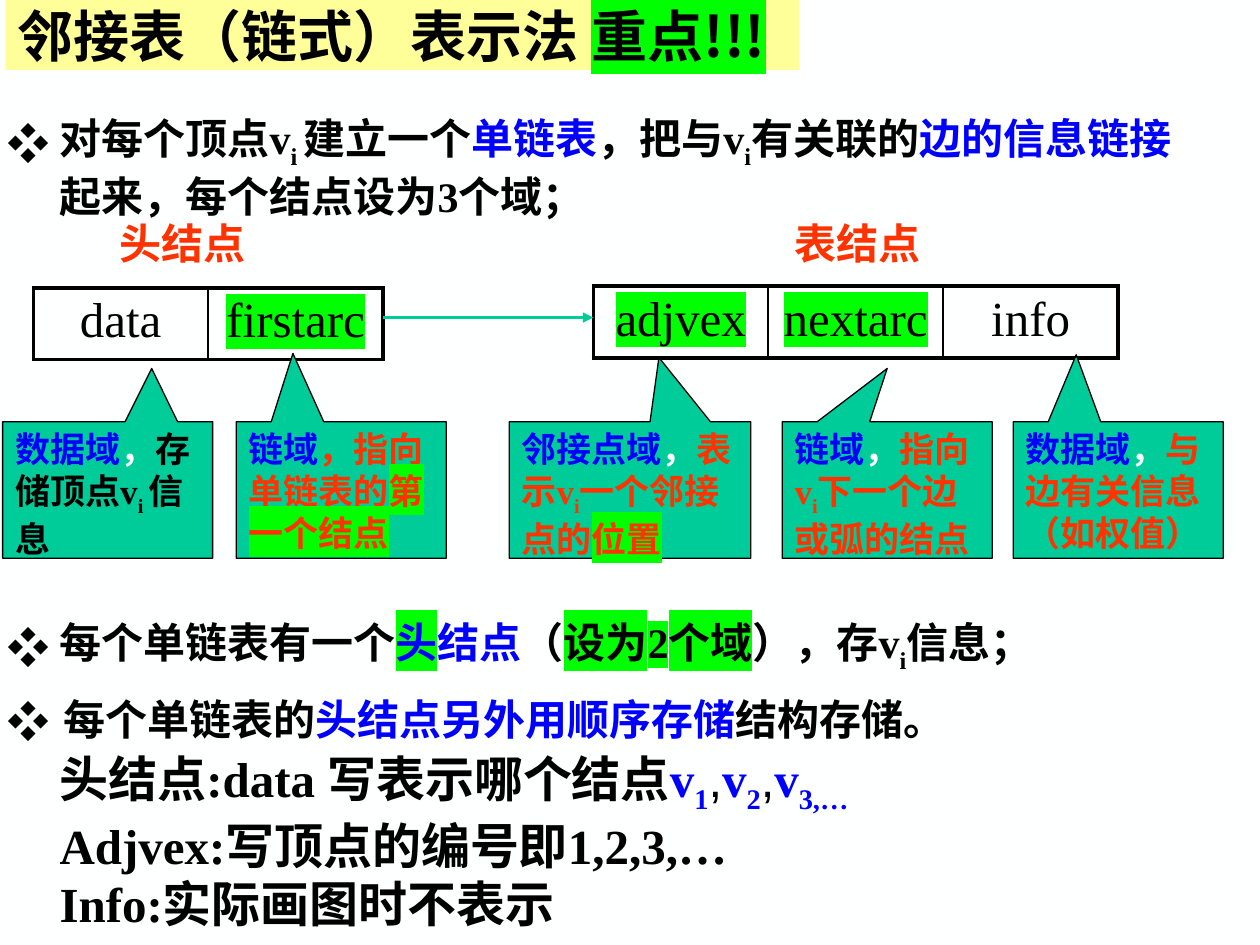
from lxml import etree
from pptx import Presentation
from pptx import util as u
from pptx.dml.color import RGBColor
from pptx.enum import shapes, text
from pptx.oxml.ns import qn

Pt = u.Pt
BLACK = RGBColor(0, 0, 0)
BLUE = RGBColor(0, 0, 0xFF)
RED = RGBColor(0xFF, 0x33, 0)
WHITE = RGBColor(0xFE, 0xFF, 0xFF)
GREEN = RGBColor(0, 0xFF, 0)
TEAL = RGBColor(0, 0xCC, 0x99)
YELLOW = RGBColor(0xFF, 0xFF, 0x99)
SERIF, SANS, CJK = "Times New Roman", "Arial", "Noto Sans CJK SC"
SUB, MARK, PLAIN = "subscript", "highlight", "plain"

FRAME = {"word_wrap": True, "auto_size": text.MSO_AUTO_SIZE.NONE,
         "vertical_anchor": text.MSO_ANCHOR.TOP}


def add_xml(parent, tag, **attributes):
    return etree.SubElement(parent, qn(tag), attributes)


def set_attributes(target, values):
    for name, value in values.items():
        setattr(target, name, value)


def write_runs(paragraph, runs, size, bold=True, face=SERIF):
    """Each run is (words, colour, *flags), with flags from SUB, MARK and PLAIN."""
    for words, colour, *flags in runs:
        run = paragraph.add_run()
        run.text = words
        properties = run._r.get_or_add_rPr()
        run.font.color.rgb = colour
        if MARK in flags:
            highlight = add_xml(properties, "a:highlight")
            add_xml(highlight, "a:srgbClr", val=str(GREEN))
        plain = PLAIN in flags
        set_attributes(run.font, {"size": Pt(size), "bold": bold and not plain,
                                  "name": SANS if plain else face})
        add_xml(properties, "a:ea", typeface=CJK)
        if SUB in flags:
            properties.set("baseline", "-25000")


def write_paragraphs(frame, paragraphs, size, **settings):
    set_attributes(frame, {**FRAME, **settings})
    for index, runs in enumerate(paragraphs):
        paragraph = frame.add_paragraph() if index else frame.paragraphs[0]
        paragraph.alignment = text.PP_ALIGN.LEFT
        write_runs(paragraph, runs, size)


def add_text(slide, box, paragraphs, size=24):
    frame = slide.shapes.add_textbox(*map(Pt, box)).text_frame
    write_paragraphs(frame, paragraphs, size)
    return frame


def add_bullet(slide, box, runs, indent=30):
    frame = add_text(slide, box, [runs])
    properties = frame.paragraphs[0]._p.get_or_add_pPr()
    properties.set("marL", str(Pt(indent)))
    properties.set("indent", str(-Pt(indent)))
    colour = add_xml(properties, "a:buClr")
    add_xml(colour, "a:srgbClr", val=str(BLACK))
    add_xml(properties, "a:buFont", typeface=CJK)
    add_xml(properties, "a:buChar", char="❖")


def set_borders(cell, first, last):
    """Heavy lines around the node, thin lines between its fields."""
    cell.fill.background()
    properties = cell._tc.get_or_add_tcPr()
    widths = {"L": 2.25 if first else 1, "R": 2.25 if last else 1,
              "T": 2.25, "B": 2.25}
    for position, (side, width) in enumerate(widths.items()):
        line = add_xml(properties, "a:ln" + side, w=str(Pt(width)))
        add_xml(add_xml(line, "a:solidFill"), "a:srgbClr", val=str(BLACK))
        properties.insert(position, line)


def add_node(slide, left, top, fields):
    count = len(fields)
    table = slide.shapes.add_table(
        1, count, Pt(left), Pt(top), Pt(100 * count), Pt(41)).table
    set_attributes(table, {"first_row": False, "horz_banding": False})
    for index, field in enumerate(fields):
        cell = table.cell(0, index)
        paragraph = cell.text_frame.paragraphs[0]
        paragraph.alignment = text.PP_ALIGN.CENTER
        write_runs(paragraph, [field], 28, bold=False)
        set_borders(cell, index == 0, index == count - 1)


def add_callout(slide, left, width, tip, runs):
    callout = slide.shapes.add_shape(
        shapes.MSO_SHAPE.RECTANGULAR_CALLOUT, Pt(left), Pt(241), Pt(width), Pt(78))
    callout.shadow.inherit = False
    callout.adjustments[0], callout.adjustments[1] = tip
    callout.fill.solid()
    callout.fill.fore_color.rgb = TEAL
    callout.line.color.rgb = BLACK
    callout.line.width = Pt(0.75)
    write_paragraphs(callout.text_frame, [runs], 20)


def add_arrow(slide, start, end, y):
    arrow = slide.shapes.add_connector(
        shapes.MSO_CONNECTOR.STRAIGHT, Pt(start), Pt(y), Pt(end), Pt(y))
    arrow.line.color.rgb = TEAL
    arrow.line.width = Pt(1.75)
    add_xml(arrow.line._get_or_add_ln(), "a:tailEnd", type="triangle")
    add_xml(arrow._element.spPr, "a:effectLst")


def format_title(title):
    set_attributes(title, {"left": Pt(3), "top": Pt(0),
                           "width": Pt(454), "height": Pt(40)})
    title.fill.solid()
    title.fill.fore_color.rgb = YELLOW
    set_attributes(title.text_frame, {**FRAME, "vertical_anchor": text.MSO_ANCHOR.MIDDLE})
    paragraph = title.text_frame.paragraphs[0]
    paragraph.alignment = text.PP_ALIGN.LEFT
    write_runs(paragraph, [("邻接表（链式）表示法 ", BLACK), ("重点!!!", BLACK, MARK)],
               32, face=CJK)


def main():
    deck = Presentation()
    deck.slide_width, deck.slide_height = Pt(720), Pt(540)
    slide = deck.slides.add_slide(deck.slide_layouts[5])
    slide.background.fill.solid()
    slide.background.fill.fore_color.rgb = WHITE
    format_title(slide.shapes.title)

    add_bullet(slide, (-3, 61, 690, 65), [
        ("对每个顶点v", BLACK), ("i ", BLACK, SUB), ("建立一个", BLACK),
        ("单链表", BLUE), ("，把与v", BLACK), ("i", BLACK, SUB), ("有关联的", BLACK),
        ("边的信息链接", BLUE), ("起来，每个结点设为3个域；", BLACK)])
    add_bullet(slide, (-3, 349, 720, 36), [
        ("每个单链表有一个", BLACK), ("头", BLUE, MARK), ("结点", BLUE), ("（", BLACK),
        ("设为2个域", BLACK, MARK), ("），存v", BLACK), ("i", BLACK, SUB),
        ("信息；", BLACK)])
    add_bullet(slide, (-3, 393, 554, 36), [
        ("每个单链表的", BLACK), ("头结点另外用顺序存储", BLUE), ("结构存储。", BLACK)],
        indent=32)

    for left, label in ((61, "头结点"), (447, "表结点")):
        add_text(slide, (left, 121, 96, 36), [[(label, RED)]])
    add_node(slide, 19, 164.5, [("data", BLACK), ("firstarc", BLACK, MARK)])
    add_node(slide, 339, 163.5, [("adjvex", BLACK, MARK), ("nextarc", BLACK, MARK),
                                 ("info", BLACK)])
    add_arrow(slide, 219, 339, 181.5)

    comma = ("，", WHITE)
    add_callout(slide, 1.5, 120, (0.21, -0.89), [
        ("数据域", BLUE), comma, ("存储顶点v", BLACK), ("i ", BLACK, SUB),
        ("信息", BLACK)])
    add_callout(slide, 135, 120, (-0.23, -1), [
        ("链域", BLUE), ("，指向单链表的", RED), ("第一个结点", RED, MARK)])
    add_callout(slide, 291, 138, (0.12, -0.97), [
        ("邻接点域", BLUE), comma, ("表示v", RED), ("i", RED, SUB),
        ("一个邻接点的", RED), ("位置", RED, MARK)])
    add_callout(slide, 447, 120, (0, -0.89), [
        ("链域", BLUE), comma, ("指向v", RED), ("i", RED, SUB),
        ("下一个边或弧的结点", RED)])
    add_callout(slide, 579, 120, (-0.2, -0.99), [
        ("数据域", BLUE), comma, ("与边有关信息（如权值）", RED)])

    separator = (",", BLACK, PLAIN)
    add_text(slide, (27, 424, 612, 109), [
        [("头结点:data 写表示哪个结点", BLACK),
         ("v", BLUE), ("1", BLUE, SUB), separator,
         ("v", BLUE), ("2", BLUE, SUB), separator,
         ("v", BLUE), ("3,…", BLUE, SUB)],
        [("Adjvex:写顶点的编号即1,2,3,…", BLACK)],
        [("Info:实际画图时不表示", BLACK)]], size=28)
    deck.save("out.pptx")


if __name__ == "__main__":
    main()
